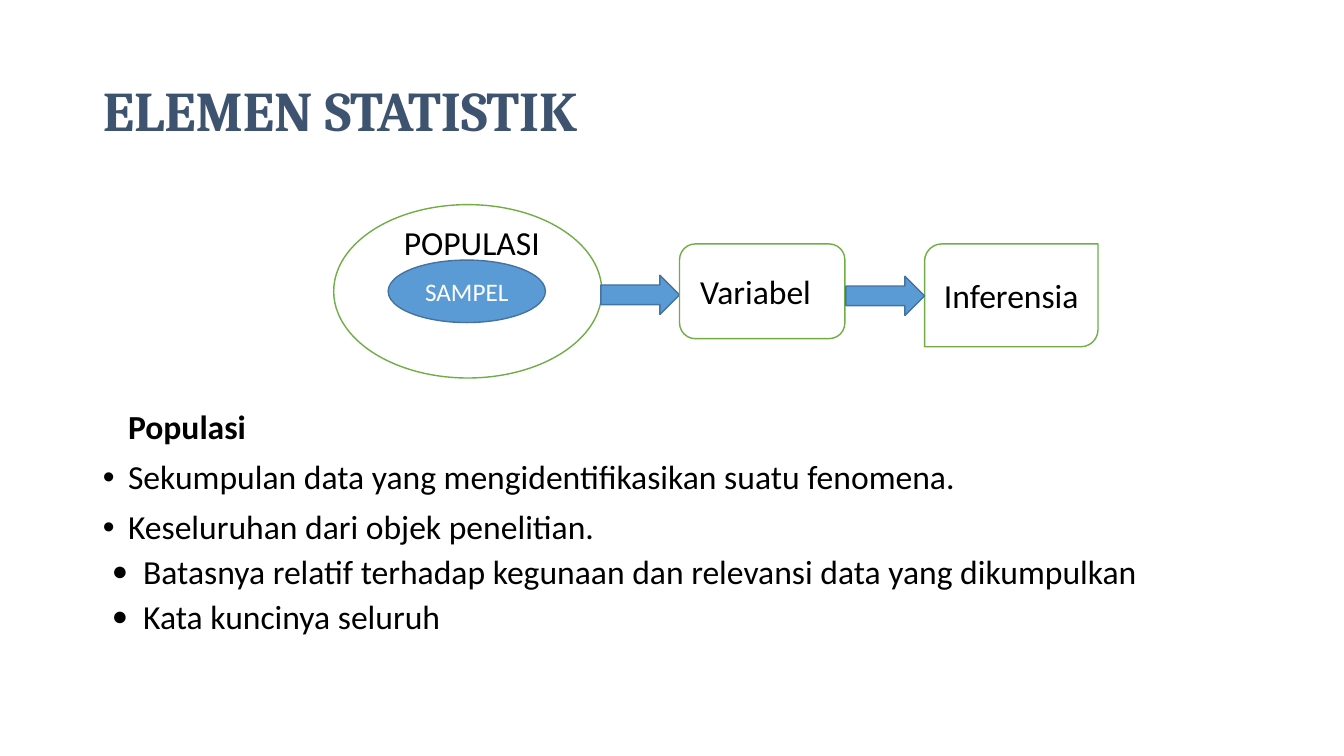
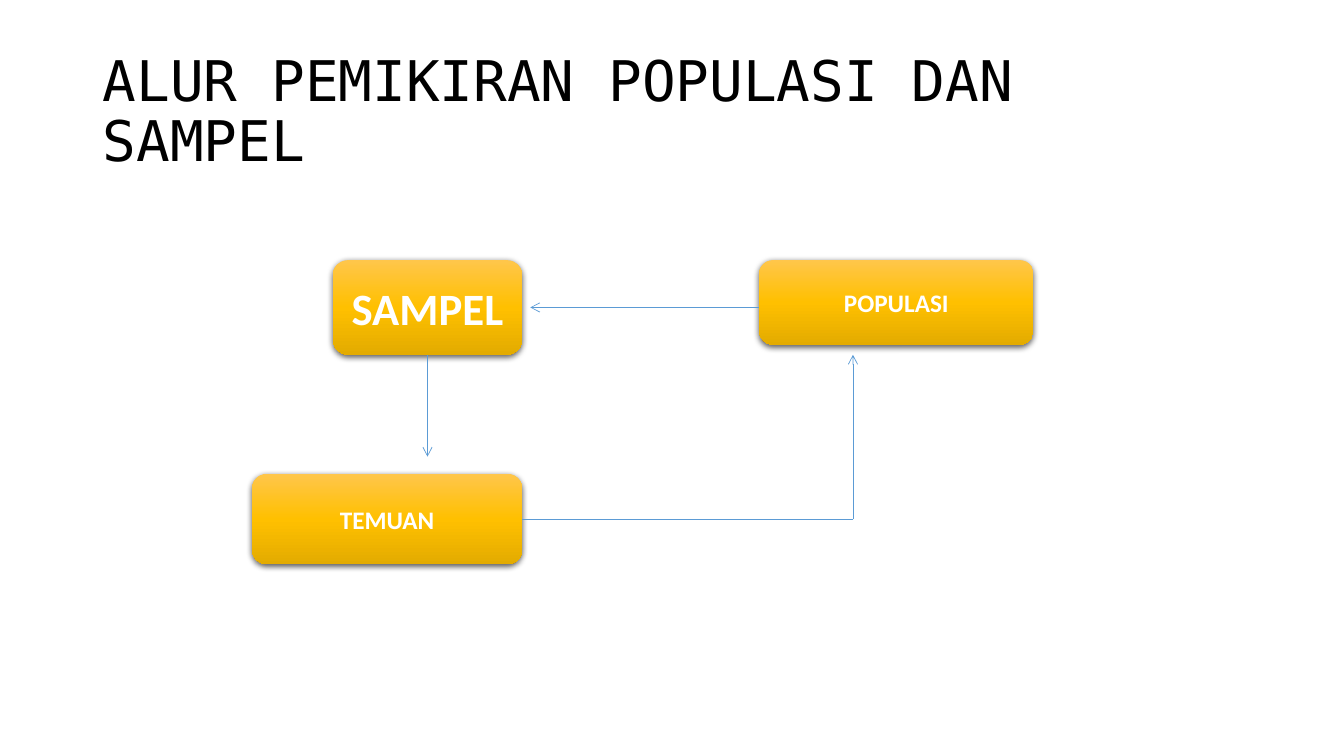
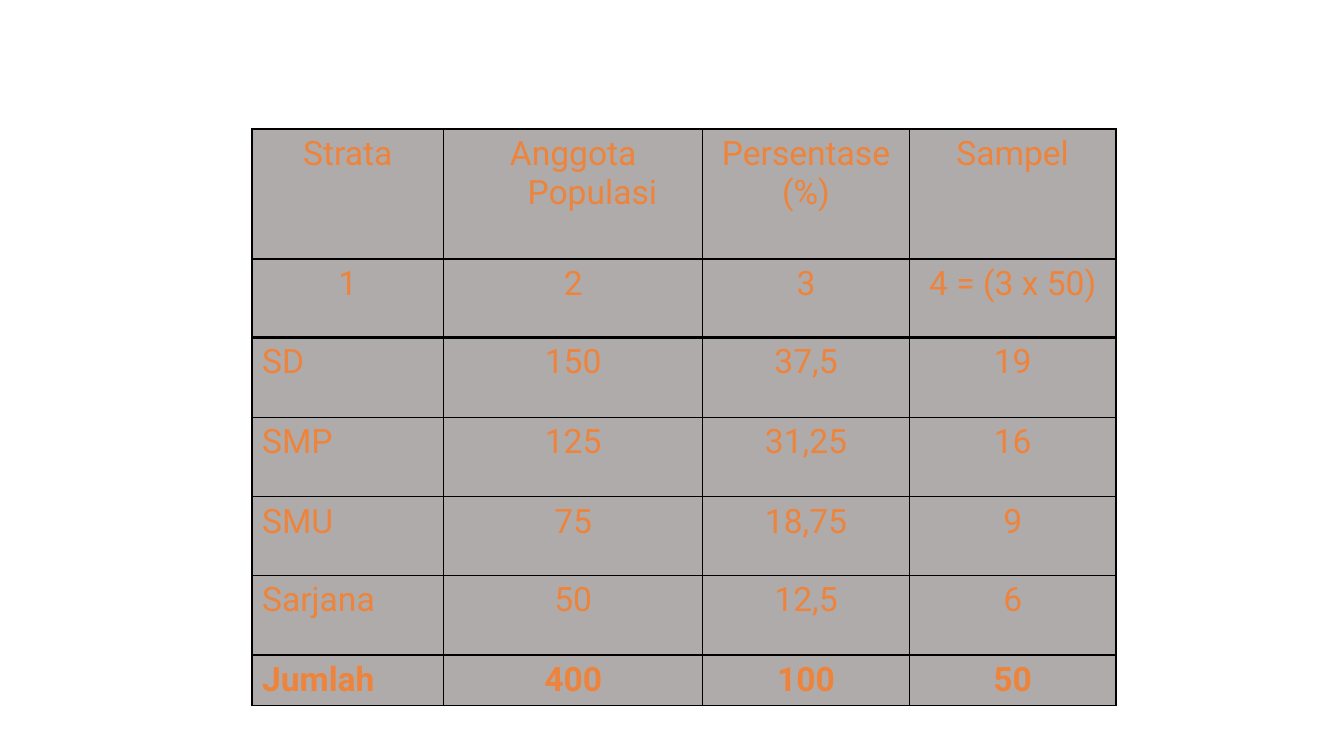
from lxml import etree
from pptx import Presentation
from pptx.dml.color import RGBColor
from pptx.enum.shapes import MSO_CONNECTOR, MSO_SHAPE as SHAPE
from pptx.enum.text import MSO_ANCHOR as ANCHOR, MSO_AUTO_SIZE as AUTO_SIZE, PP_ALIGN as ALIGN
from pptx.oxml.ns import qn
from pptx.util import Inches, Pt

# Shared style
BLACK, WHITE = "000000", "FFFFFF"
BLUE, BLUE_EDGE, GREEN = "5B9BD5", "43739E", "70AD47"
GOLD_STOPS = [(0, "FFC64B"), (50, "FFC000"), (100, "E3AB00")]
GREY, ORANGE = "AFABAB", "EE843B"
BODY_FONT = "Calibri"
TITLE_BOX = (0.92, 0.4, 11.5, 1.45)
LAYOUT_BODY, LAYOUT_TITLE, LAYOUT_BLANK = 1, 5, 6

# Slide 1: elements of statistics
ELEMENTS_BODY_BOX = (0.92, 4.02, 11.5, 2.74)
# text, level, bullet, bullet size %, left margin, first-line indent, space before
ELEMENTS_LIST = [
    ("Populasi", 0, None, 100, 0.25, 0, 0),
    ("Sekumpulan data yang mengidentifikasikan suatu fenomena.", 0, "•", 100, 0.25, -0.25, 10),
    ("Keseluruhan dari objek penelitian.", 0, "•", 100, 0.25, -0.25, 10),
    ("Batasnya relatif terhadap kegunaan dan relevansi data yang dikumpulkan",
     1, "●", 80, 0.4, -0.31, 6),
    ("Kata kuncinya seluruh", 1, "●", 80, 0.4, -0.31, 6),
]
POPULATION_LABEL = ("POPULASI", (3.78, 2.15, 1.8, 0.51))
# preset, box, fill, line, text, size, text colour, right inset
ELEMENT_SHAPES = [
    (SHAPE.OVAL, (3.31, 2.03, 2.66, 1.72), WHITE, GREEN, "", 24, BLACK, 0.1),
    (SHAPE.OVAL, (3.85, 2.58, 1.56, 0.62), BLUE, BLUE_EDGE, "SAMPEL", 18, WHITE, 0.1),
    (SHAPE.RIGHT_ARROW, (5.96, 2.73, 0.78, 0.39), BLUE, BLUE_EDGE, "", 18, WHITE, 0.1),
    (SHAPE.ROUNDED_RECTANGLE, (6.74, 2.42, 1.64, 0.94), WHITE, GREEN, "Variabel", 24, BLACK, 0.23),
    (SHAPE.ROUND_2_DIAG_RECTANGLE, (9.17, 2.42, 1.72, 1.02), WHITE, GREEN, "Inferensia", 24, BLACK, 0.1),
    (SHAPE.RIGHT_ARROW, (8.39, 2.74, 0.78, 0.39), BLUE, BLUE_EDGE, "", 18, WHITE, 0.1),
]

# Slide 2: flow between population and sample
FLOW_STEPS = [
    ("SAMPEL", (3.3, 2.58, 1.88, 0.94), 32),
    ("POPULASI", (7.53, 2.58, 2.72, 0.84), 18),
    ("TEMUAN", (2.5, 4.7, 2.68, 0.9), 18),
]
# from, to, arrowhead, (step joined at the start, its side)
FLOW_LINES = [
    ((5.18, 5.15), (8.46, 5.15), False, ("TEMUAN", 3)),
    ((8.46, 5.15), (8.46, 3.52), True, None),
    ((7.53, 3.05), (5.26, 3.05), True, None),
    ((4.24, 3.52), (4.24, 4.53), True, ("SAMPEL", 2)),
]

# Slide 3: strata table
STRATA_ROWS = [
    ("Strata", "Anggota Populasi", "Persentase\n(%)", "Sampel"),
    ("1", "2", "3", "4 = (3 x 50)"),
    ("SD", "150", "37,5", "19"),
    ("SMP", "125", "31,25", "16"),
    ("SMU", "75", "18,75", "9"),
    ("Sarjana", "50", "12,5", "6"),
    ("Jumlah", "400", "100", "50"),
]
STRATA_BOX = (2.5, 1.28, 8.58, 5.72)
COLUMN_WIDTHS = [1.9, 2.57, 2.05, 2.05]
ROW_HEIGHTS = [1.29, 0.78, 0.79, 0.79, 0.78, 0.79, 0.5]
HEADER_ROWS = 2


def rgb(value):
    return RGBColor.from_string(value)


def inches(box):
    return [Inches(length) for length in box]


def child(parent, tag, **attributes):
    return etree.SubElement(parent, qn(tag), {k: str(v) for k, v in attributes.items()})


def set_font(paragraph, size, color, name=BODY_FONT, bold=False):
    font = paragraph.font
    font.size, font.name, font.bold = Pt(size), name, bold
    font.color.rgb = rgb(color)


def set_indent(paragraph, left, first):
    properties = paragraph._p.get_or_add_pPr()
    properties.set("marL", str(Inches(left)))
    properties.set("indent", str(Inches(first)))
    return properties


def place(placeholder, box):
    placeholder.left, placeholder.top, placeholder.width, placeholder.height = inches(box)
    placeholder.text_frame.auto_size = AUTO_SIZE.NONE
    placeholder.text_frame.word_wrap = True


def add_title(slide, text, font, color, bold):
    title = slide.shapes.title
    place(title, TITLE_BOX)
    title.text_frame.text = text
    title.text_frame.vertical_anchor = ANCHOR.MIDDLE
    paragraph = title.text_frame.paragraphs[0]
    paragraph.alignment, paragraph.line_spacing = ALIGN.LEFT, 0.9
    set_font(paragraph, 40, color, font, bold)


def add_shape(slide, preset, box, text, size, color, bold=False):
    shape = slide.shapes.add_shape(preset, *inches(box))
    shape.shadow.inherit = False
    if text:
        frame = shape.text_frame
        frame.text = text
        frame.vertical_anchor = ANCHOR.MIDDLE
        frame.paragraphs[0].alignment = ALIGN.CENTER
        set_font(frame.paragraphs[0], size, color, bold=bold)
    return shape


def add_elements_slide(deck):
    slide = deck.slides.add_slide(deck.slide_layouts[LAYOUT_BODY])
    add_title(slide, "ELEMEN STATISTIK", "Cambria", "3E5370", True)

    # Definition list
    body = slide.placeholders[1]
    place(body, ELEMENTS_BODY_BOX)
    frame = body.text_frame
    for i, (text, level, bullet, percent, left, first, before) in enumerate(ELEMENTS_LIST):
        paragraph = frame.add_paragraph() if i else frame.paragraphs[0]
        paragraph.text, paragraph.level = text, level
        paragraph.alignment, paragraph.line_spacing = ALIGN.JUSTIFY, 0.9
        paragraph.space_before = Pt(before)
        properties = set_indent(paragraph, left, first)
        if bullet:
            child(properties, "a:buSzPct", val=percent * 1000)
            child(properties, "a:buFont", typeface="Arial")
            child(properties, "a:buChar", char=bullet)
        else:
            child(properties, "a:buNone")
        set_font(paragraph, 24, BLACK, bold=bullet is None)

    # Diagram
    for preset, box, fill, line, text, size, color, right in ELEMENT_SHAPES:
        shape = add_shape(slide, preset, box, text, size, color)
        shape.fill.solid()
        shape.fill.fore_color.rgb = rgb(fill)
        shape.line.color.rgb, shape.line.width = rgb(line), Pt(1)
        shape.text_frame.margin_right = Inches(right)
    text, box = POPULATION_LABEL
    label = slide.shapes.add_textbox(*inches(box)).text_frame
    label.word_wrap = True
    label.text = text
    label.paragraphs[0].alignment = ALIGN.CENTER
    set_font(label.paragraphs[0], 24, BLACK)


def style_gold(shape):
    shape.fill.gradient()
    shape.fill.gradient_angle = 270
    shape.line.fill.background()
    properties = shape._element.spPr
    stops = properties.find(".//" + qn("a:gsLst"))
    for stop in list(stops):
        stops.remove(stop)
    for position, color in GOLD_STOPS:
        child(child(stops, "a:gs", pos=position * 1000), "a:srgbClr", val=color)
    shadow = child(properties.find(qn("a:effectLst")), "a:outerShdw", blurRad=Pt(4.5),
                   dist=Pt(1.5), dir=90 * 60000, algn="ctr", rotWithShape=0)
    child(child(shadow, "a:srgbClr", val=BLACK), "a:alpha", val=63000)


def add_flow_slide(deck):
    slide = deck.slides.add_slide(deck.slide_layouts[LAYOUT_TITLE])
    add_title(slide, "ALUR PEMIKIRAN POPULASI DAN SAMPEL", "DejaVu Sans Mono", BLACK, False)
    steps = {}
    for text, box, size in FLOW_STEPS:
        steps[text] = add_shape(slide, SHAPE.ROUNDED_RECTANGLE, box, text, size, WHITE, True)
        style_gold(steps[text])
    for start, end, arrow, joint in FLOW_LINES:
        link = slide.shapes.add_connector(MSO_CONNECTOR.STRAIGHT, *inches(start + end))
        if joint:
            step, side = joint
            link.begin_connect(steps[step], side)
        link.line.color.rgb, link.line.width = rgb(BLUE), Pt(0.5)
        if arrow:
            child(link.line._get_or_add_ln(), "a:tailEnd", type="arrow")
        child(link._element.spPr, "a:effectLst")


def set_borders(cell, row):
    properties = cell._tc.get_or_add_tcPr()
    heavy = {"T": row == HEADER_ROWS, "B": row == HEADER_ROWS - 1}
    for i, side in enumerate("LRTB"):
        width = Pt(2 if heavy.get(side) else 1)
        border = etree.Element(qn(f"a:ln{side}"), w=str(width))
        child(child(border, "a:solidFill"), "a:srgbClr", val=BLACK)
        properties.insert(i, border)


def add_strata_slide(deck):
    slide = deck.slides.add_slide(deck.slide_layouts[LAYOUT_BLANK])
    table = slide.shapes.add_table(len(STRATA_ROWS), len(COLUMN_WIDTHS),
                                   *inches(STRATA_BOX)).table
    table.first_row = table.horz_banding = False
    for column, width in zip(table.columns, COLUMN_WIDTHS):
        column.width = Inches(width)
    for r, (texts, height) in enumerate(zip(STRATA_ROWS, ROW_HEIGHTS)):
        table.rows[r].height = Inches(height)
        for c, text in enumerate(texts):
            cell = table.cell(r, c)
            cell.text = text
            cell.fill.solid()
            cell.fill.fore_color.rgb = rgb(GREY)
            set_borders(cell, r)
            is_row_name = c == 0 and r >= HEADER_ROWS
            for paragraph in cell.text_frame.paragraphs:
                paragraph.alignment = ALIGN.JUSTIFY if is_row_name else ALIGN.CENTER
                set_indent(paragraph, 0.38, -0.38)
                set_font(paragraph, 24, ORANGE, "Roboto", r == len(STRATA_ROWS) - 1)


def main():
    deck = Presentation()
    deck.slide_width, deck.slide_height = Inches(13.33), Inches(7.5)
    add_elements_slide(deck)
    add_flow_slide(deck)
    add_strata_slide(deck)
    deck.save("out.pptx")


if __name__ == "__main__":
    main()
